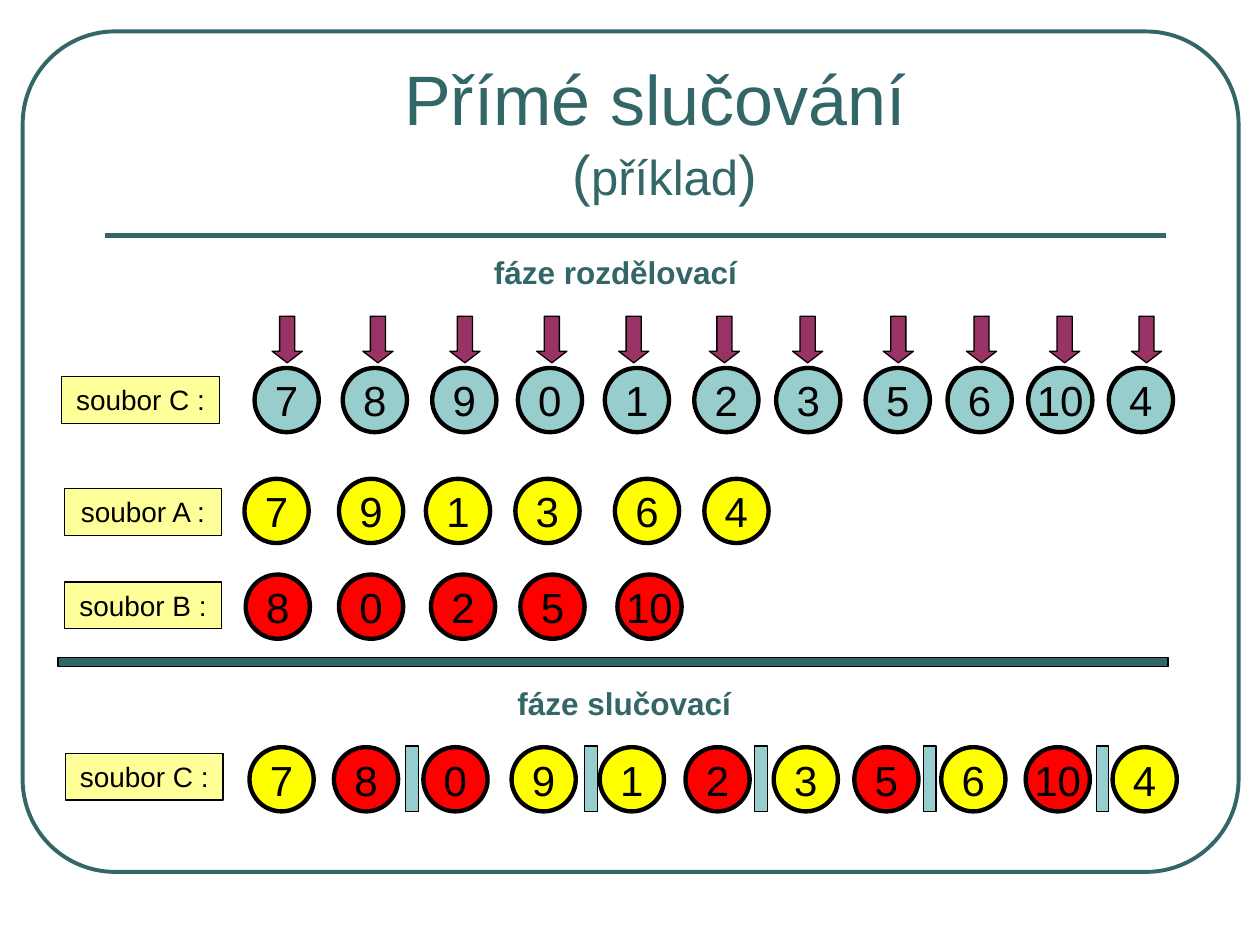
from dataclasses import dataclass

from lxml import etree
from pptx import Presentation, util as u
from pptx.dml.color import RGBColor
from pptx.enum import shapes, text
from pptx.oxml.ns import qn

KIND = shapes.MSO_SHAPE
COLS, ROWS = 100, 75


@dataclass(frozen=True)
class Theme:
    font: str = "Arial"
    teal: str = "336666"
    aqua: str = "97CDCC"
    cream: str = "FFFF99"
    gold: str = "FFFF00"
    red: str = "FF0000"
    plum: str = "993366"
    ink: str = "000000"
    title: int = 40
    paren: int = 32
    sub: int = 28
    num: int = 24
    head: int = 18
    label: int = 16
    thin: float = 0.75
    frame: float = 2.25
    ring: float = 2.5
    rule: float = 3


class Board:
    """Draws on one slide; all lengths are columns and rows of the grid."""

    def __init__(self, deck, theme):
        self.theme = theme
        self.slide = deck.slides.add_slide(deck.slide_layouts[6])
        self.items = self.slide.shapes
        self.col = deck.slide_width / COLS
        self.row = deck.slide_height / ROWS

    def scale(self, x, y, w, h):
        pairs = zip((x, y, w, h), (self.col, self.row) * 2)
        return [u.Emu(round(n * unit)) for n, unit in pairs]

    def letter(self, item, runs, color, bold=False, **form):
        """Fill item with centred (words, size) runs; None breaks the line."""
        frame = item.text_frame
        form = {"word_wrap": False, "vertical_anchor": text.MSO_ANCHOR.TOP} | form
        for key, val in form.items():
            setattr(frame, key, val)
        para = frame.paragraphs[0]
        para.alignment = text.PP_ALIGN.CENTER
        for part in runs:
            if part is None:
                para.add_line_break()
                continue
            words, size = part
            run = para.add_run()
            run.text = words
            look = {"name": self.theme.font, "size": u.Pt(size), "bold": bold}
            for key, val in look.items():
                setattr(run.font, key, val)
            run.font.color.rgb = RGBColor.from_string(color)

    def shape(self, kind, box, fill=None, line=None, width=None, adj=()):
        item = self.items.add_shape(kind, *self.scale(*box))
        item.shadow.inherit = False
        if fill:
            item.fill.solid()
            item.fill.fore_color.rgb = RGBColor.from_string(fill)
        else:
            item.fill.background()
        item.line.color.rgb = RGBColor.from_string(line or self.theme.ink)
        item.line.width = u.Pt(width or self.theme.thin)
        for i, val in enumerate(adj):
            item.adjustments[i] = val
        return item

    def rule(self, x, y, end):
        left, top, right, _ = self.scale(x, y, end, y)
        item = self.items.add_connector(
            shapes.MSO_CONNECTOR.STRAIGHT, left, top, right, top)
        item.line.color.rgb = RGBColor.from_string(self.theme.teal)
        item.line.width = u.Pt(self.theme.rule)
        etree.SubElement(item._element.spPr, qn("a:effectLst"))

    def words(self, box, runs, **form):
        item = self.items.add_textbox(*self.scale(*box))
        self.letter(item, runs, self.theme.teal, **form)

    def head(self, box, words):
        self.words(box, [(words, self.theme.head)], bold=True,
                   auto_size=text.MSO_AUTO_SIZE.SHAPE_TO_FIT_TEXT)

    def label(self, x, y, words):
        item = self.shape(KIND.RECTANGLE, (x, y, 12.5, 3.7), self.theme.cream)
        self.letter(item, [(words, self.theme.label)], self.theme.ink,
                    auto_size=text.MSO_AUTO_SIZE.SHAPE_TO_FIT_TEXT)

    def balls(self, y, nums, lefts, fills):
        for num, x, fill in zip(nums, lefts, fills):
            item = self.shape(KIND.OVAL, (x, y, 5.1, 5.1), fill,
                              width=self.theme.ring)
            self.letter(item, [(str(num), self.theme.num)], self.theme.ink,
                        vertical_anchor=text.MSO_ANCHOR.MIDDLE)

    def arrows(self, y, lefts):
        for x in lefts:
            self.shape(KIND.DOWN_ARROW, (x, y, 2.4, 3.7), self.theme.plum,
                       adj=(0.5, 0.385))

    def bars(self, y, lefts):
        for x in lefts:
            self.shape(KIND.RECTANGLE, (x, y, 1, 5.2), self.theme.aqua)


def main():
    deck = Presentation()
    deck.slide_width, deck.slide_height = u.Inches(10), u.Inches(7.5)
    look = Theme()
    board = Board(deck, look)

    board.shape(KIND.ROUNDED_RECTANGLE, (1.8, 2.5, 96.5, 66.7),
                line=look.teal, width=look.frame, adj=(0.11,))
    board.rule(8.3, 18.7, 92.5)
    board.words((12.9, 7.4, 79.7, 9.5),
                [("Přímé slučování ", look.title), None, ("(", look.paren),
                 ("příklad", look.sub), (")", look.paren)],
                word_wrap=True, vertical_anchor=text.MSO_ANCHOR.BOTTOM)

    # Split: the sorted runs of C go in turn to A and B
    board.head((37.8, 19.6, 22.1, 4), "fáze rozdělovací")
    board.arrows(25.1, (21.6, 28.8, 35.7, 42.6, 49.1, 56.3,
                        62.9, 70.1, 76.7, 83.3, 89.8))
    nums = (7, 8, 9, 0, 1, 2, 3, 5, 6, 10, 4)
    golds, reds = nums[::2], nums[1::2]
    golds, reds = (7, 9, 1, 3, 6, 4), (8, 0, 2, 5, 10)
    split = [
        ("soubor C :", 4.9, 29.9, 29.2, look.aqua, nums,
         (20.2, 27.2, 34.3, 41.1, 48, 55.1, 61.6, 68.7, 75.2, 81.6, 88)),
        ("soubor A :", 5.1, 38.8, 38, look.gold, golds,
         (19.4, 26.9, 33.8, 40.9, 48.8, 55.9)),
        ("soubor B :", 5.1, 46.2, 45.6, look.red, reds,
         (19.5, 26.9, 34.2, 41.3, 49)),
    ]
    for name, x, y, top, fill, row, lefts in split:
        board.label(x, y, name)
        board.balls(top, row, lefts, [fill] * len(row))
    board.shape(KIND.RECTANGLE, (4.6, 52.2, 88.1, 0.7), look.teal)

    # Merge: each ball keeps the colour of the file it comes from
    board.head((39.9, 53.8, 19.3, 4), "fáze slučovací")
    board.label(5.2, 59.8, "soubor C :")
    merged = (7, 8, 0, 9, 1, 2, 3, 5, 6, 10, 4)
    fills = [look.red if num in reds else look.gold for num in merged]
    board.balls(59.3, merged, (19.8, 26.5, 33.6, 40.6, 47.6, 54.4,
                               61.4, 67.8, 74.7, 81.4, 88.3), fills)
    board.bars(59.2, (32.2, 46.4, 59.9, 73.3, 87))

    deck.save("out.pptx")


if __name__ == "__main__":
    main()
